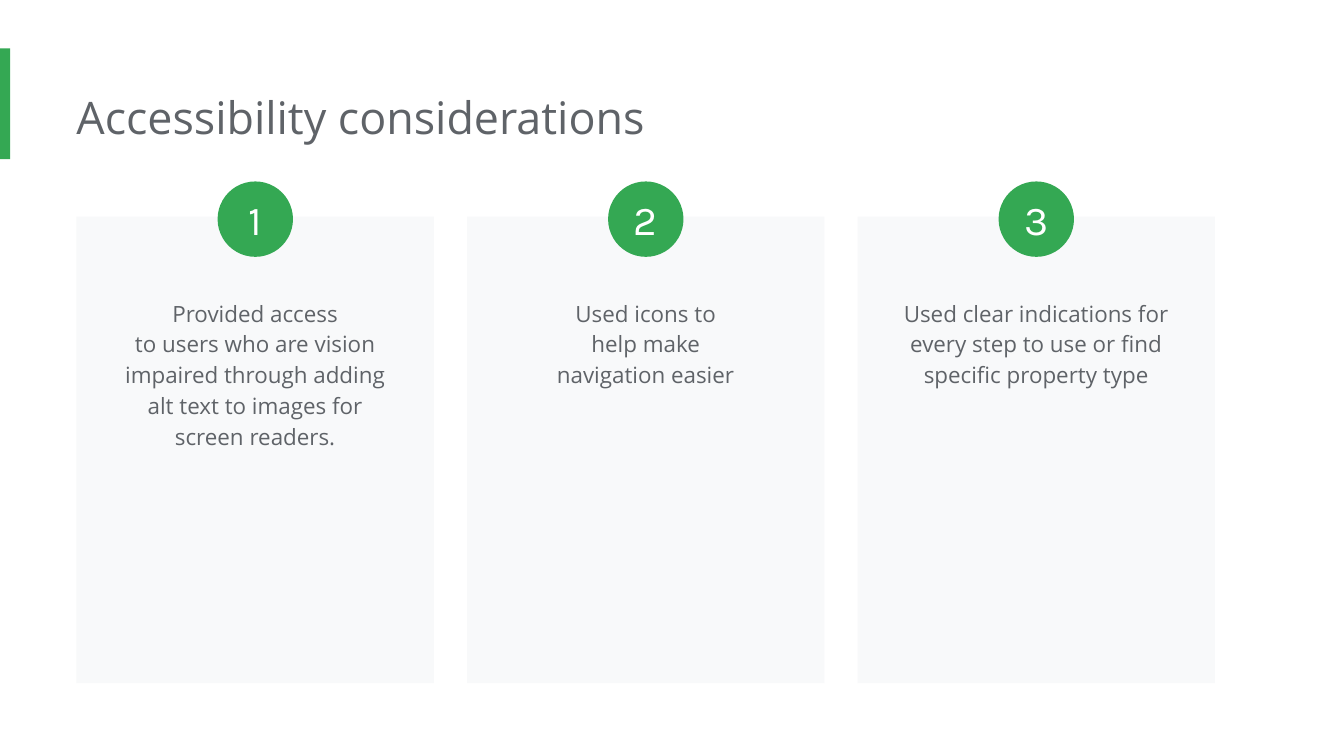
import pptx
import pptx.util
import pptx.dml.color
import pptx.enum.shapes
import pptx.enum.text

Pt = pptx.util.Pt
KIND = pptx.enum.shapes.MSO_SHAPE
ALIGN = pptx.enum.text.PP_ALIGN
ANCHOR = pptx.enum.text.MSO_ANCHOR
GREEN, GREY, PALE, WHITE = "34A853", "5F6368", "F8F9FA", "FFFFFF"


def paint(fill, color):
    fill.solid()
    fill.fore_color.rgb = pptx.dml.color.RGBColor.from_string(color)


def write(shape, text, size, font="Open Sans", color=GREY, align=ALIGN.CENTER,
          space=1.0, inset=(7.2, 7.2, 7.2, 7.2), anchor=ANCHOR.TOP):
    """Fill a shape with text, one paragraph per line; inset is left, top, right, bottom."""
    frame = shape.text_frame
    frame.word_wrap = True
    frame.vertical_anchor = anchor
    frame.margin_left, frame.margin_top, frame.margin_right, frame.margin_bottom = map(Pt, inset)
    frame.text = text
    for para in frame.paragraphs:
        para.alignment = align
        para.line_spacing = space
        para.font.size = Pt(size)
        para.font.name = font
        paint(para.font.fill, color)


deck = pptx.Presentation()
deck.slide_width, deck.slide_height = Pt(720), Pt(405)
slide = deck.slides.add_slide(deck.slide_layouts[6])
paint(slide.background.fill, WHITE)
shapes = slide.shapes

left, top, wide, high, pitch = 41, 116, 191.5, 250, 209.2
disc, inner = 40.4, 161.3

bar = shapes.add_shape(KIND.RECTANGLE, Pt(0), Pt(26), Pt(5.5), Pt(59.3))
paint(bar.fill, GREEN)
bar.line.fill.background()
bar.shadow.inherit = False

title = shapes.add_textbox(Pt(left), Pt(41), Pt(551.5), Pt(44))
write(title, "Accessibility considerations", 24, align=ALIGN.LEFT, inset=(0, 7.2, 7.2, 7.2))

notes = [
    "Provided access\nto users who are vision impaired through adding alt text to images for screen readers.",
    "Used icons to\nhelp make\nnavigation easier",
    "Used clear indications for every step to use or find specific property type",
]
for i, note in enumerate(notes):
    x = left + i * pitch
    mid = x + wide / 2
    card = shapes.add_shape(KIND.RECTANGLE, Pt(x), Pt(top), Pt(wide), Pt(high))
    badge = shapes.add_shape(KIND.OVAL, Pt(mid - disc / 2), Pt(97.2), Pt(disc), Pt(disc))
    for shape, color in ((card, PALE), (badge, GREEN)):
        paint(shape.fill, color)
        shape.line.fill.background()
        shape.shadow.inherit = False
    write(badge, str(i + 1), 22, font="Karla", color=WHITE, inset=(0, 0, 0, 0), anchor=ANCHOR.MIDDLE)

    body = shapes.add_textbox(Pt(mid - inner / 2), Pt(151.2), Pt(inner), Pt(98))
    write(body, note, 12, space=1.15)

deck.save("out.pptx")
